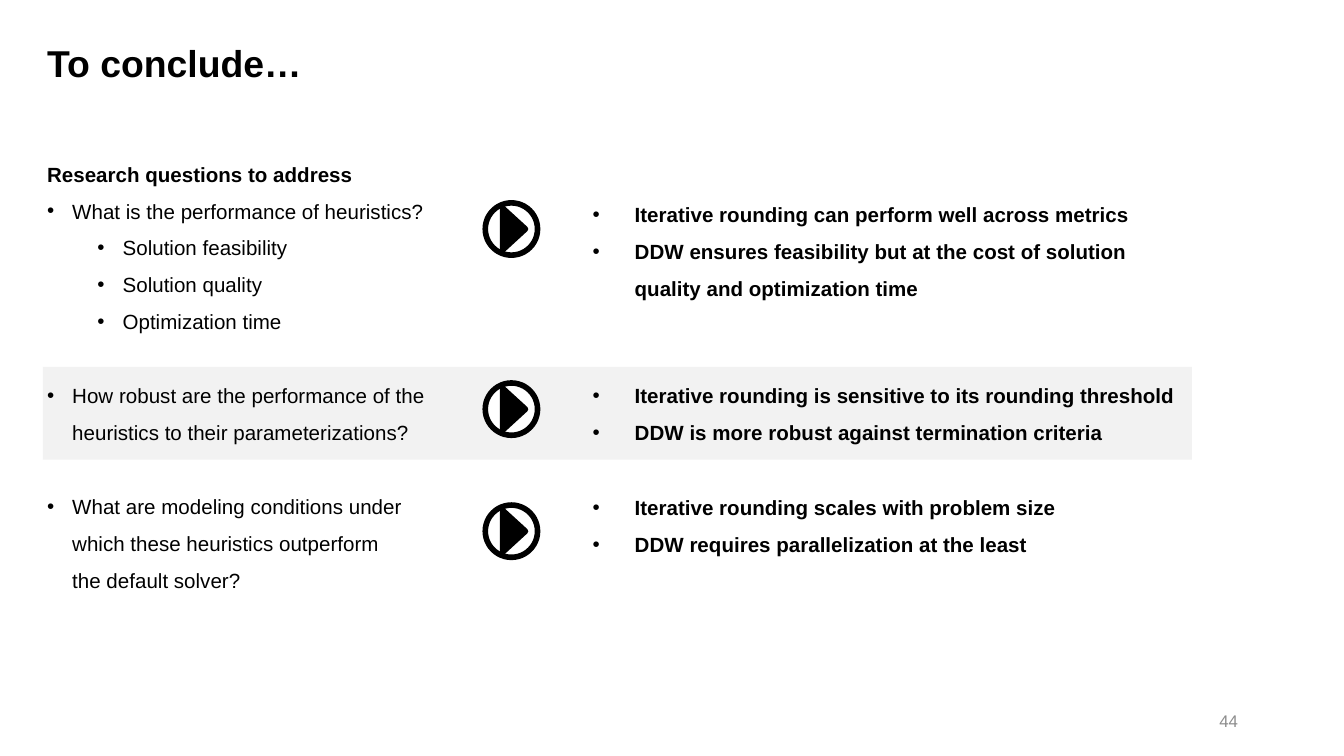
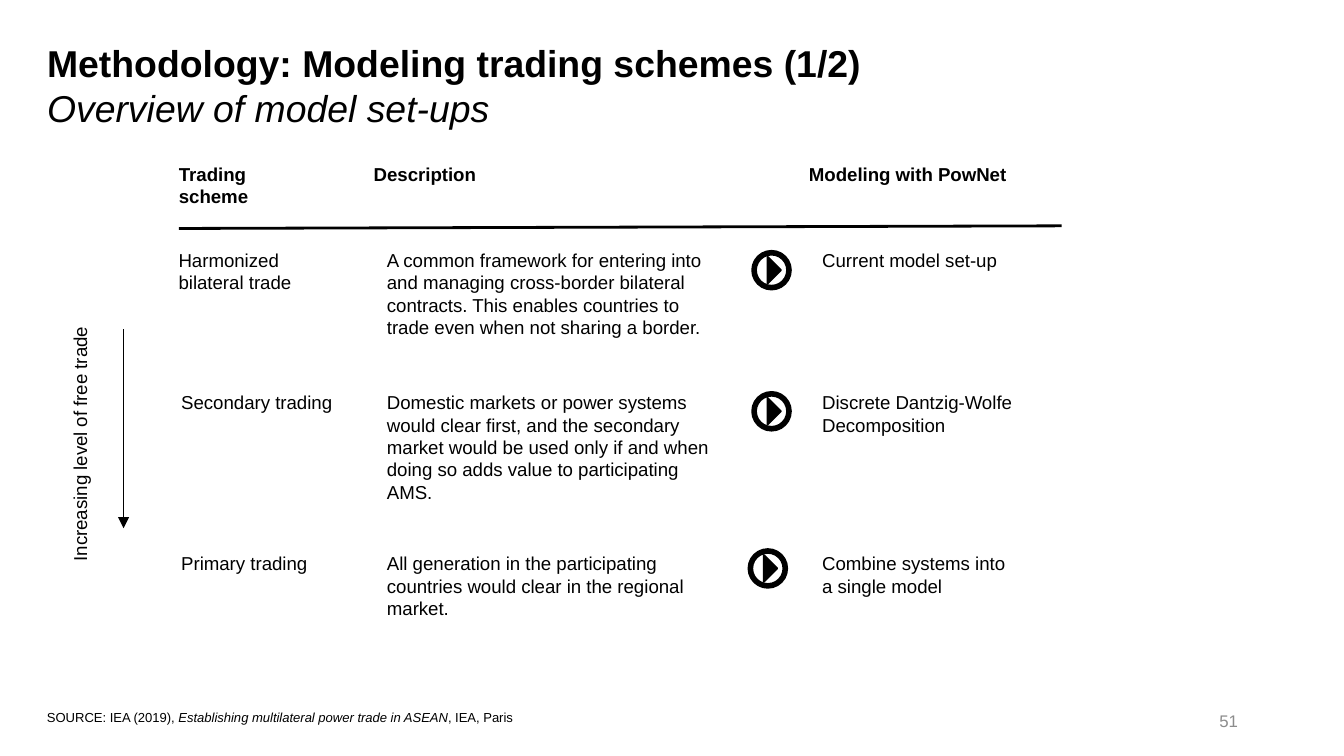
from copy import deepcopy
from dataclasses import dataclass

from lxml.etree import SubElement
from pptx import Presentation
from pptx.dml.color import RGBColor
from pptx.enum.shapes import MSO_CONNECTOR, MSO_SHAPE
from pptx.enum.text import MSO_ANCHOR, MSO_AUTO_SIZE, PP_ALIGN
from pptx.oxml.ns import qn
from pptx.util import Pt


@dataclass(frozen=True)
class Theme:
    font: str = "Arial"
    ink: RGBColor = RGBColor(0, 0, 0)
    paper: RGBColor = RGBColor(0xFF, 0xFF, 0xFF)
    band: RGBColor = RGBColor(0xF2, 0xF2, 0xF2)
    muted: RGBColor = RGBColor(0x8C, 0x8C, 0x8C)
    title: int = 20
    bullet: int = 11
    table: int = 10
    number: int = 9
    source: int = 7


@dataclass(frozen=True)
class IconStyle:
    diameter: float
    base: float
    depth: float
    outline: float
    filled: bool


THEME = Theme()
LARGE_ICON = IconStyle(28, 22.3, 12.2, 3, True)
SMALL_ICON = IconStyle(18.7, 14.4, 7.2, 1, False)
MARGIN = 25.2
LINE_SPACING = 1.5
BLANK_LINE = 19.8
TEXT_INSETS = (7.2, 3.6)

# text, level (None for a heading without bullet), space before
QUESTIONS = [
    ("Research questions to address", None, 0),
    ("What is the performance of heuristics?", 0, 0),
    ("Solution feasibility", 1, 0),
    ("Solution quality", 1, 0),
    ("Optimization time", 1, 0),
    ("How robust are the performance of the heuristics to their parameterizations?",
     0, BLANK_LINE),
    ("What are modeling conditions under \nwhich these heuristics outperform \n"
     "the default solver?", 0, BLANK_LINE),
]
# icon top, text top, text width, findings
ANSWERS = [
    (108.7, 101.5, 306, ["Iterative rounding can perform well across metrics",
                         "DDW ensures feasibility but at the cost of solution "
                         "quality and optimization time"]),
    (205.2, 198.7, 320.4, ["Iterative rounding is sensitive to its rounding threshold",
                           "DDW is more robust against termination criteria"]),
    (270.6, 258.5, 306, ["Iterative rounding scales with problem size",
                         "DDW requires parallelization at the least"]),
]
# left, width, text
HEADINGS = [
    (95.8, 65.5, "Trading scheme"),
    (200.2, 79.2, "Description"),
    (433.4, 149, "Modeling with PowNet"),
]
# top, name left, icon left, icon top, name, description, model lines
SCHEMES = [
    (129.6, 88.6, 404, 135.4, "Harmonized bilateral trade",
     "A common framework for entering into and managing cross-border bilateral "
     "contracts. This enables countries to trade even when not sharing a border.",
     ["Current model set-up"]),
    (205.9, 90, 404, 211, "Secondary trading",
     "Domestic markets or power systems would clear first, and the secondary market "
     "would be used only if and when doing so adds value to participating AMS.",
     ["Discrete Dantzig-Wolfe", "Decomposition"]),
    (292.3, 90, 402, 295.2, "Primary trading",
     "All generation in the participating countries would clear in the regional market.",
     ["Combine systems into", "a single model"]),
]


def place(shape, left, top, width, height):
    shape.left, shape.top = Pt(left), Pt(top)
    shape.width, shape.height = Pt(width), Pt(height)


def set_up_frame(frame, insets=(0, 0)):
    frame.word_wrap = True
    frame.auto_size = MSO_AUTO_SIZE.SHAPE_TO_FIT_TEXT
    frame.vertical_anchor = MSO_ANCHOR.TOP
    frame.margin_left = frame.margin_right = Pt(insets[0])
    frame.margin_top = frame.margin_bottom = Pt(insets[1])


def next_paragraph(frame):
    """Return the untouched first paragraph, or a new one after it."""
    first = frame.paragraphs[0]
    return frame.add_paragraph() if first.runs else first


def add_run(paragraph, text, size, bold=False, italic=False, color=THEME.ink):
    """Add text in one format; a newline becomes a line break of the same size."""
    for index, line in enumerate(text.split("\n")):
        if index:
            paragraph.add_line_break()
            paragraph._p[-1].append(deepcopy(run._r.rPr))
        run = paragraph.add_run()
        run.text = line
        font = run.font
        font.name, font.size = THEME.font, Pt(size)
        font.bold, font.italic = bold, italic
        font.color.rgb = color


def add_text(slide, left, top, width, height, lines, size, insets=(0, 0), bold=False):
    box = slide.shapes.add_textbox(Pt(left), Pt(top), Pt(width), Pt(height))
    set_up_frame(box.text_frame, insets)
    for line in lines:
        add_run(next_paragraph(box.text_frame), line, size, bold)
    return box


def add_list_item(frame, text, level, left, hanging, bold=False, before=0):
    paragraph = next_paragraph(frame)
    properties = paragraph._p.get_or_add_pPr()
    if level is None:
        left = hanging = 0
        SubElement(properties, qn("a:buNone"))
    else:
        paragraph.level = level
        SubElement(properties, qn("a:buFont"), typeface=THEME.font)
        SubElement(properties, qn("a:buChar"), char="•")
    properties.set("marL", str(Pt(left)))
    properties.set("indent", str(-Pt(hanging)))
    paragraph.line_spacing = LINE_SPACING
    paragraph.space_before = Pt(before)
    add_run(paragraph, text, THEME.bullet, bold)


def set_title(slide, title, subtitle=None):
    shape = slide.shapes.title
    place(shape, MARGIN, 21.6, 635.8, 48.2 if subtitle else 24.5)
    set_up_frame(shape.text_frame)
    add_run(next_paragraph(shape.text_frame), title, THEME.title, bold=True)
    if subtitle:
        add_run(next_paragraph(shape.text_frame), subtitle, THEME.title, italic=True)
    for paragraph in shape.text_frame.paragraphs:
        paragraph.alignment = PP_ALIGN.LEFT


def add_page_number(slide, number):
    box = slide.shapes.add_textbox(Pt(508.3), Pt(375.1), Pt(162), Pt(21.6))
    box.text_frame.word_wrap = True
    box.text_frame.vertical_anchor = MSO_ANCHOR.MIDDLE
    paragraph = box.text_frame.paragraphs[0]
    paragraph.alignment = PP_ALIGN.RIGHT
    add_run(paragraph, str(number), THEME.number, color=THEME.muted)


def add_filled_shape(shapes, kind, left, top, width, height, fill, outline=None):
    shape = shapes.add_shape(kind, Pt(left), Pt(top), Pt(width), Pt(height))
    shape.shadow.inherit = False
    if fill is None:
        shape.fill.background()
    else:
        shape.fill.solid()
        shape.fill.fore_color.rgb = fill
    if outline is None:
        shape.line.fill.background()
    else:
        shape.line.color.rgb = THEME.ink
        shape.line.width = Pt(outline)
    return shape


def add_play_icon(slide, left, top, style):
    """Draw a ring with a right-pointing triangle, as one group."""
    shapes = slide.shapes.add_group_shape().shapes
    size = style.diameter
    add_filled_shape(shapes, MSO_SHAPE.OVAL, left, top, size, size,
                     THEME.paper if style.filled else None, 3)
    center_x, center_y = left + size / 2 + 1.4, top + size / 2
    triangle = add_filled_shape(
        shapes, MSO_SHAPE.ISOSCELES_TRIANGLE, center_x - style.base / 2,
        center_y - style.depth / 2, style.base, style.depth, THEME.ink, style.outline)
    triangle.rotation = 90


def add_line(slide, start, end, width, arrow=False):
    line = slide.shapes.add_connector(
        MSO_CONNECTOR.STRAIGHT, *(Pt(value) for value in (*start, *end)))
    line.line.color.rgb = THEME.ink
    line.line.width = Pt(width)
    if arrow:
        SubElement(line.line._get_or_add_ln(), qn("a:tailEnd"), type="triangle")
    SubElement(line._element.spPr, qn("a:effectLst"))


def build_conclusion(presentation):
    slide = presentation.slides.add_slide(presentation.slide_layouts[1])
    band = add_filled_shape(slide.shapes, MSO_SHAPE.RECTANGLE,
                            23, 196.6, 615.6, 49.7, THEME.band)
    slide.shapes._spTree.insert(2, band._element)
    set_title(slide, "To conclude…")
    add_page_number(slide, 44)

    body = slide.placeholders[1]
    place(body, MARGIN, 79.9, 222.5, 257.8)
    set_up_frame(body.text_frame)
    for text, level, before in QUESTIONS:
        add_list_item(body.text_frame, text, level, 40.5 if level else 13.5, 13.5,
                      bold=level is None, before=before)

    for icon_top, text_top, width, findings in ANSWERS:
        add_play_icon(slide, 260, icon_top, LARGE_ICON)
        box = add_text(slide, 317.5, text_top, width, 38, [], THEME.bullet)
        for finding in findings:
            add_list_item(box.text_frame, finding, 0, 22.5, 22.5, bold=True)


def build_trading_schemes(presentation):
    slide = presentation.slides.add_slide(presentation.slide_layouts[5])
    set_title(slide, "Methodology: Modeling trading schemes (1/2)",
              "Overview of model set-ups")
    add_page_number(slide, 51)

    source = add_text(slide, MARGIN, 380.2, 261.4, 8.6, ["SOURCE: IEA (2019), "],
                      THEME.source)
    citation = source.text_frame.paragraphs[0]
    add_run(citation, "Establishing multilateral power trade in ASEAN",
            THEME.source, italic=True)
    add_run(citation, ", IEA, Paris", THEME.source)

    for left, width, heading in HEADINGS:
        add_text(slide, left, 87.1, width, 12.2, [heading], THEME.table, bold=True)
    add_line(slide, (95.8, 122.4), (568.8, 121), 1.5)

    for top, name_left, icon_left, icon_top, name, description, model in SCHEMES:
        for left, width, lines in ((name_left, 97.9, [name]),
                                   (200.2, 192.2, [description]),
                                   (433.4, 192.2, model)):
            add_text(slide, left, top, width, 19.4, lines, THEME.table, TEXT_INSETS)
        add_play_icon(slide, icon_left, icon_top, SMALL_ICON)

    add_line(slide, (66.2, 176.4), (66.2, 283), 0.5, arrow=True)
    label = add_text(slide, -41, 228.2, 167.8, 19.4, ["Increasing level of free trade"],
                     THEME.table, TEXT_INSETS)
    label.rotation = 270
    label.text_frame.paragraphs[0].alignment = PP_ALIGN.CENTER


def main():
    presentation = Presentation()
    presentation.slide_width, presentation.slide_height = Pt(720), Pt(405)
    build_conclusion(presentation)
    build_trading_schemes(presentation)
    presentation.save("out.pptx")


if __name__ == "__main__":
    main()
